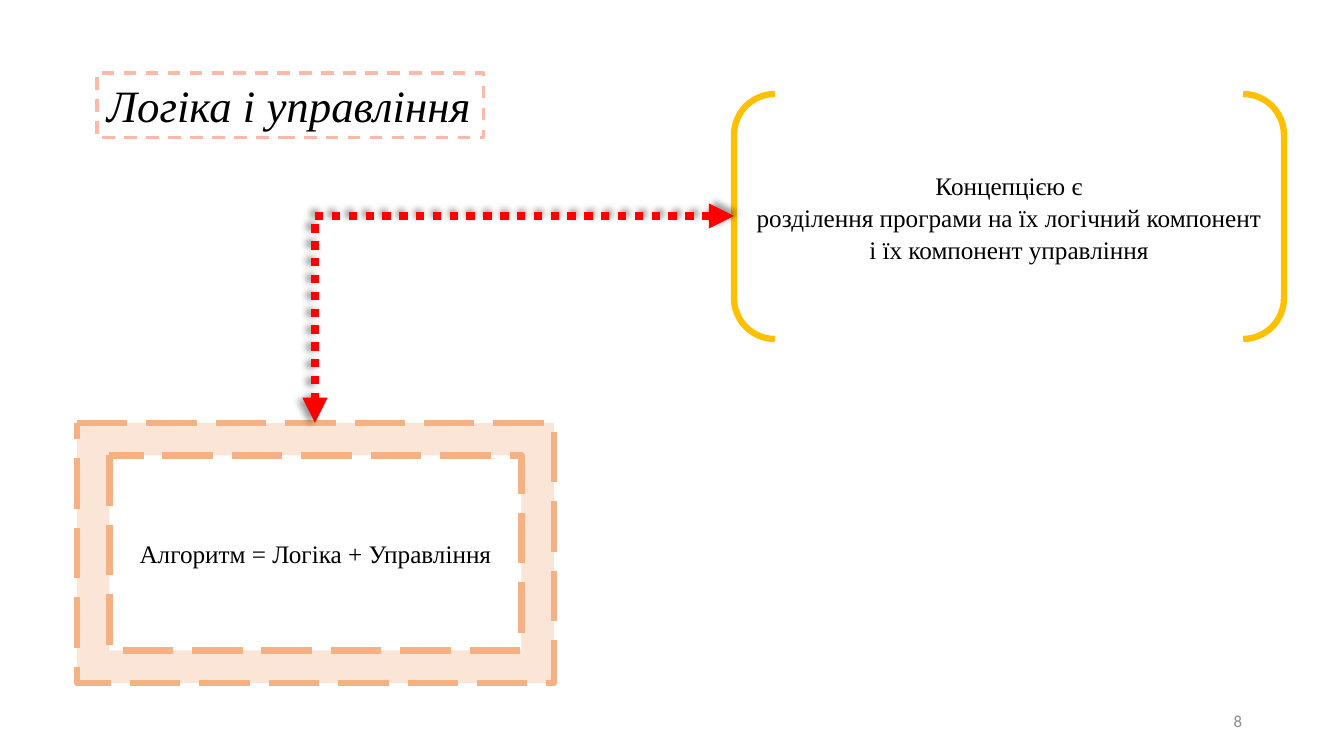
from lxml import etree
from pptx import Presentation, util as u
from pptx.dml.color import RGBColor
from pptx.enum import dml, shapes, text
from pptx.oxml import parse_xml
from pptx.oxml.ns import nsdecls, qn

PX = 12700 * 5 / 7  # 100.8 px to the inch
SERIF = "Times New Roman"
MIDDLE, CENTER = text.MSO_ANCHOR.MIDDLE, text.PP_ALIGN.CENTER


def px(*lengths):
    return [u.Emu(round(n * PX)) for n in lengths]


def write(sp, lines, size, font=SERIF, color="000000", align=CENTER, spacing=None):
    tf = sp.text_frame
    tf.word_wrap = True
    tf.vertical_anchor = MIDDLE
    for i, line in enumerate(lines):
        p = tf.paragraphs[0] if i == 0 else tf.add_paragraph()
        p.alignment = align
        p.line_spacing = spacing
        r = p.add_run()
        r.text = line
        r.font.size = u.Pt(size)
        r.font.name = font
        r.font.color.rgb = RGBColor.from_string(color)
    return tf


prs = Presentation()
prs.slide_width, prs.slide_height = px(1344, 756)
s = prs.slides.add_slide(prs.slide_layouts[6])

# Title, concept brackets and formula frame
KIND = shapes.MSO_SHAPE
DASH = dml.MSO_LINE
outlined = {}
for name, kind, box, fill, line, width, dash in [
    ("title", KIND.RECTANGLE, (97, 73, 387, 65), None, "FCB8A8", 2.25, DASH.DASH),
    ("concept", KIND.DOUBLE_BRACKET, (734, 94, 550, 245), None, "FFC000", 4.5, None),
    ("formula", KIND.FRAME, (77, 423, 477, 260), "FBE5D6", "F4B183", 4.5, DASH.LONG_DASH),
]:
    sp = s.shapes.add_shape(kind, *px(*box))
    sp.shadow.inherit = False
    if fill:
        sp.fill.solid()
        sp.fill.fore_color.rgb = RGBColor.from_string(fill)
    else:
        sp.fill.background()
    sp.line.color.rgb = RGBColor.from_string(line)
    sp.line.width = u.Pt(width)
    sp.line.dash_style = dash
    outlined[name] = sp

tf = write(outlined["title"], ["Логіка і управління"], 32, align=text.PP_ALIGN.LEFT)
tf.word_wrap = False
tf.vertical_anchor = text.MSO_ANCHOR.TOP
tf.auto_size = text.MSO_AUTO_SIZE.SHAPE_TO_FIT_TEXT
tf.paragraphs[0].runs[0].font.italic = True
write(outlined["concept"], [
    "Концепцією є",
    "розділення програми на їх логічний компонент і їх компонент управління",
], 18, spacing=1.07)
write(outlined["formula"], ["Алгоритм = Логіка + Управління"], 18)

# Double-headed elbow: flipped and turned so its corner is at top left
elbow = s.shapes.add_connector(shapes.MSO_CONNECTOR.ELBOW, *px(315, 423, 734, 216))
elbow.line.color.rgb = RGBColor.from_string("FF0000")
elbow.line.width = u.Pt(6)
elbow.line.dash_style = DASH.ROUND_DOT
spPr = elbow._element.spPr
spPr.find(qn("a:xfrm")).set("rot", str(180 * 60000))
spPr.find(qn("a:prstGeom")).set("prst", "bentConnector2")
ln = spPr.find(qn("a:ln"))
ln.find(qn("a:prstDash")).set("val", "sysDot")
for end in ("a:headEnd", "a:tailEnd"):
    etree.SubElement(ln, qn(end), type="triangle")
spPr.append(parse_xml(
    f'<a:effectLst {nsdecls("a")}><a:outerShdw blurRad="63500" sx="102000" sy="102000" '
    'algn="ctr" rotWithShape="0"><a:srgbClr val="000000"><a:alpha val="40000"/>'
    '</a:srgbClr></a:outerShdw></a:effectLst>'))

# Slide number
number = s.shapes.add_textbox(*px(950, 701, 302, 40))
write(number, ["8"], 12, "Calibri", "8C8C8C", text.PP_ALIGN.RIGHT)

prs.save("out.pptx")
